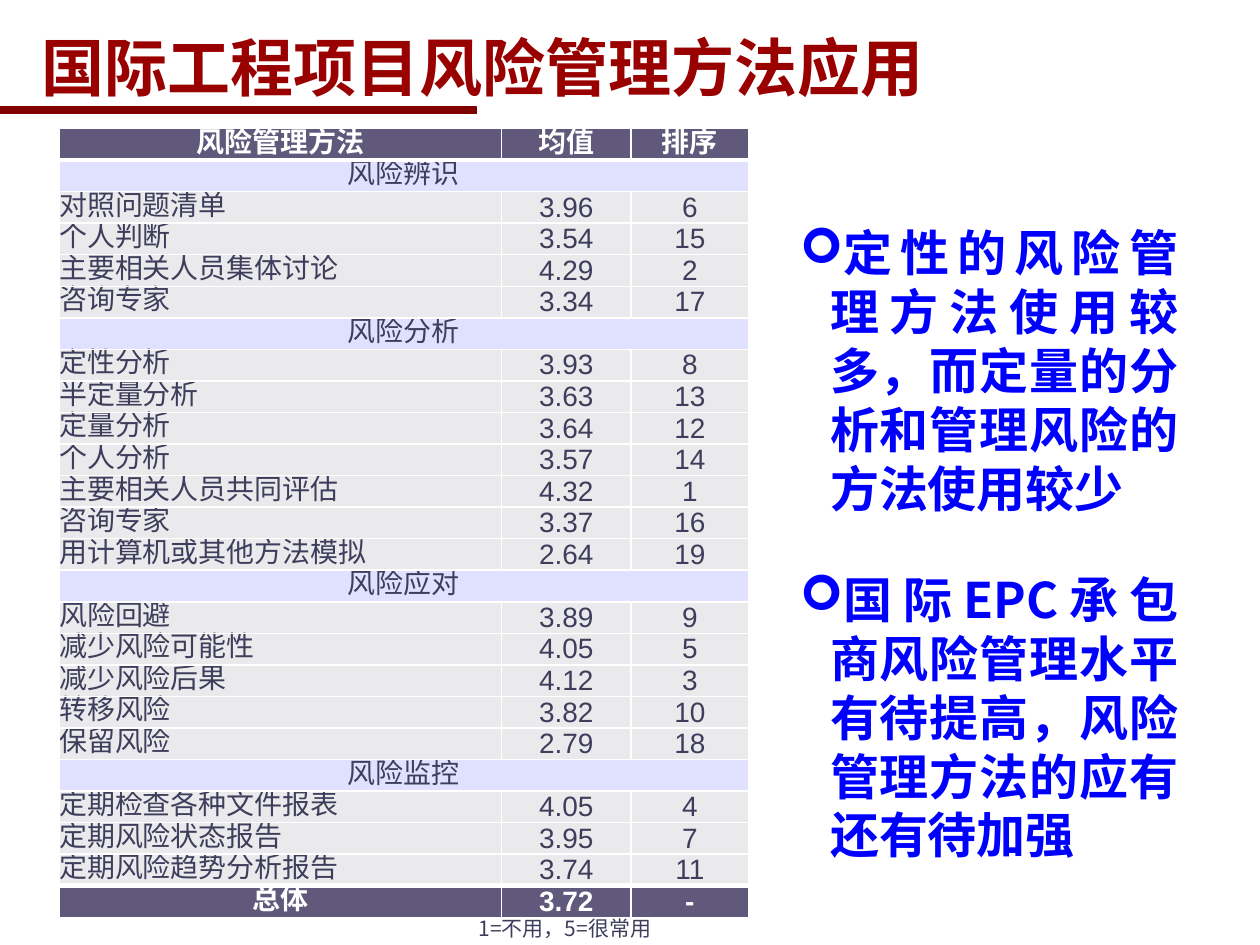
import pptx
import pptx.util
import pptx.dml.color
import pptx.enum.shapes
import pptx.enum.text
import pptx.oxml
import pptx.oxml.ns
from lxml import etree

TITLE = "国际工程项目风险管理方法应用"
HEADER = ("风险管理方法", "均值", "排序")
GROUPS = {
    "风险辨识": [
        ("对照问题清单", "3.96", "6"),
        ("个人判断", "3.54", "15"),
        ("主要相关人员集体讨论", "4.29", "2"),
        ("咨询专家", "3.34", "17"),
    ],
    "风险分析": [
        ("定性分析", "3.93", "8"),
        ("半定量分析", "3.63", "13"),
        ("定量分析", "3.64", "12"),
        ("个人分析", "3.57", "14"),
        ("主要相关人员共同评估", "4.32", "1"),
        ("咨询专家", "3.37", "16"),
        ("用计算机或其他方法模拟", "2.64", "19"),
    ],
    "风险应对": [
        ("风险回避", "3.89", "9"),
        ("减少风险可能性", "4.05", "5"),
        ("减少风险后果", "4.12", "3"),
        ("转移风险", "3.82", "10"),
        ("保留风险", "2.79", "18"),
    ],
    "风险监控": [
        ("定期检查各种文件报表", "4.05", "4"),
        ("定期风险状态报告", "3.95", "7"),
        ("定期风险趋势分析报告", "3.74", "11"),
    ],
}
TOTAL = ("总体", "3.72", "-")
FINDINGS = [
    "定性的风险管理方法使用较多，而定量的分析和管理风险的方法使用较少",
    "国际EPC承包商风险管理水平有待提高，风险管理方法的应有还有待加强",
]
SCALE_NOTE = "1=不用，5=很常用"

COLUMN_WIDTHS = (3.51, 1.03, 0.93)
ROW_HEIGHT = 0.25
FILLS = {"strong": "60597B", "group": "E0E0FF", "item": "EAEAEC"}
INK = "3E3E5C"
CJK_FONT = "Noto Sans CJK SC"
ALIGN = pptx.enum.text.PP_ALIGN
ANCHOR = pptx.enum.text.MSO_ANCHOR
inches = pptx.util.Inches
points = pptx.util.Pt


def color(value):
    return pptx.dml.color.RGBColor.from_string(value)


def style_paragraph(para, name, size, ink, bold=False, align=ALIGN.LEFT):
    para.alignment = align
    for span in para.runs:
        span.font.name, span.font.size = name, points(size)
        span.font.bold, span.font.color.rgb = bold, color(ink)


def set_borders(cell, widths):
    properties = cell._tc.get_or_add_tcPr()
    for position, (side, width) in enumerate(zip("LRTB", widths)):
        line = pptx.oxml.parse_xml(
            f'<a:ln{side} {pptx.oxml.ns.nsdecls("a")} w="{points(width)}">'
            f'<a:solidFill><a:srgbClr val="FFFFFF"/></a:solidFill></a:ln{side}>')
        properties.insert(position, line)


def add_bullet(para, character, indent):
    properties = para._p.get_or_add_pPr()
    properties.set("marL", str(inches(indent)))
    properties.set("indent", str(-inches(indent)))
    properties.set("hangingPunct", "0")
    font = etree.SubElement(properties, pptx.oxml.ns.qn("a:buFont"))
    font.set("typeface", "Wingdings")
    font.set("charset", "2")
    bullet = etree.SubElement(properties, pptx.oxml.ns.qn("a:buChar"))
    bullet.set("char", character)


deck = pptx.Presentation()
deck.slide_width, deck.slide_height = inches(10), inches(7.5)
page = deck.slides.add_slide(deck.slide_layouts[5])

# Title and the bar below it
title = page.shapes.title
title.left, title.top, title.width, title.height = map(inches, (0.23, 0.3, 9.77, 0.45))
title.text_frame.text = TITLE
title.text_frame.vertical_anchor = ANCHOR.MIDDLE
style_paragraph(title.text_frame.paragraphs[0], "Arial", 36, "990000", bold=True)

bar = page.shapes.add_shape(pptx.enum.shapes.MSO_SHAPE.RECTANGLE,
                            *map(inches, (-0.01, 0.85, 3.79, 0.05)))
bar.shadow.inherit = False
bar.fill.solid()
bar.fill.fore_color.rgb = bar.line.color.rgb = color("800000")
bar.line.width = points(0.75)

# Findings beside the table
findings = page.shapes.add_textbox(*map(inches, (6.25, 1.72, 3.2, 5.23))).text_frame
findings.word_wrap = True
for index, finding in enumerate(FINDINGS):
    para = findings.add_paragraph() if index else findings.paragraphs[0]
    para.text = finding
    add_bullet(para, "➢", 0.24)
    if index:
        para.space_before = points(30)
    style_paragraph(para, CJK_FONT, 28, "0000FF", bold=True, align=ALIGN.JUSTIFY)

# Table of methods: header, groups with their items, total
rows = [("strong", HEADER)]
for group, items in GROUPS.items():
    rows.append(("group", (group, "", "")))
    rows += [("item", item) for item in items]
rows.append(("strong", TOTAL))

table = page.shapes.add_table(
    len(rows), len(COLUMN_WIDTHS), inches(0.47), inches(1.02),
    inches(sum(COLUMN_WIDTHS)), inches(ROW_HEIGHT * len(rows))).table
for column, width in zip(table.columns, COLUMN_WIDTHS):
    column.width = inches(width)

for r, (kind, texts) in enumerate(rows):
    table.rows[r].height = inches(ROW_HEIGHT)
    if kind == "group":
        table.cell(r, 0).merge(table.cell(r, len(texts) - 1))
    strong = kind == "strong"
    top = 3 if strong and r else 1
    bottom = 3 if r == 0 else 1
    for c, text in enumerate(texts):
        cell = table.cell(r, c)
        cell.margin_left = cell.margin_right = cell.margin_top = cell.margin_bottom = 0
        cell.fill.solid()
        cell.fill.fore_color.rgb = color(FILLS[kind])
        set_borders(cell, (1, 1, top, bottom))
        para = cell.text_frame.paragraphs[0]
        para.text = text
        para.line_spacing = points(18)
        style_paragraph(para, "Arial", 16, "FFFFFF" if strong else INK, strong,
                        ALIGN.LEFT if kind == "item" and c == 0 else ALIGN.CENTER)

# Scale note under the table, wide enough for one line
note = page.shapes.add_textbox(*map(inches, (3.7, 7.22, 2.24, 0.28))).text_frame
note.word_wrap = True
note.margin_bottom = 0
note.text = SCALE_NOTE
style_paragraph(note.paragraphs[0], CJK_FONT, 12, INK)

deck.save("out.pptx")
